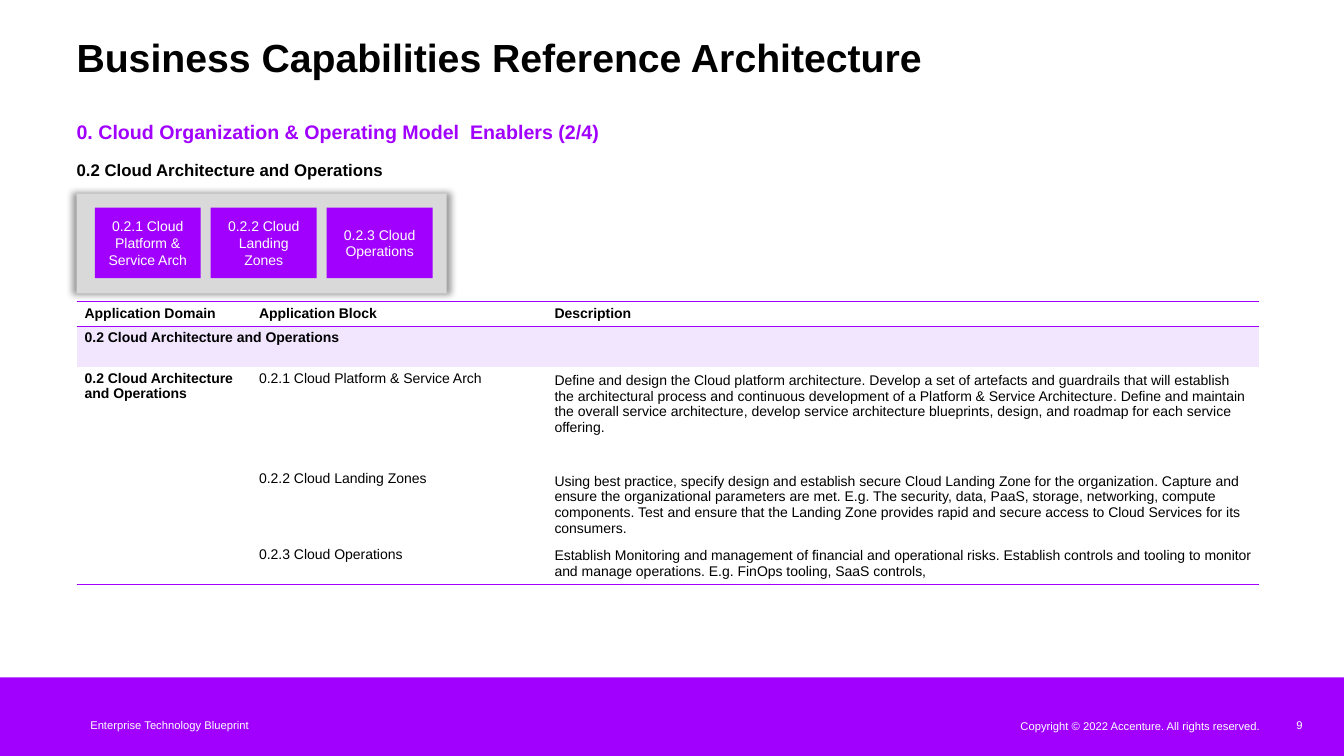
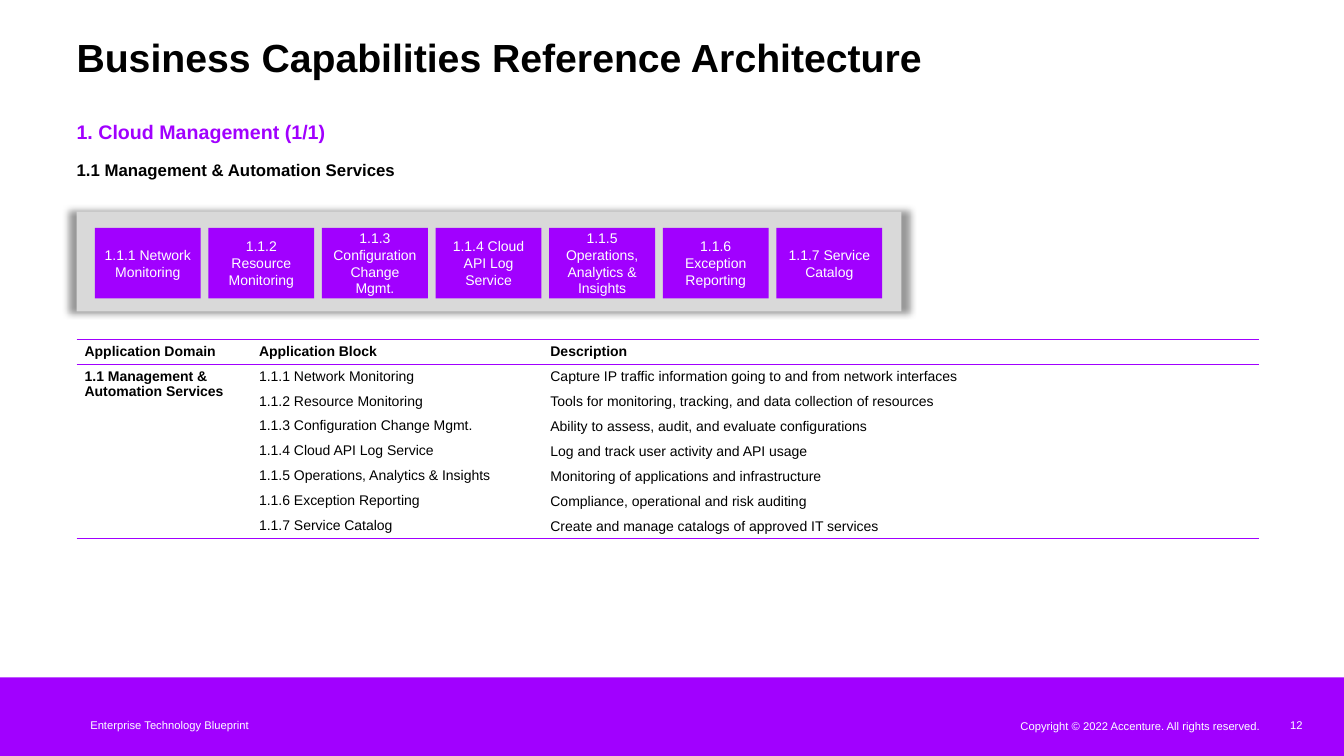
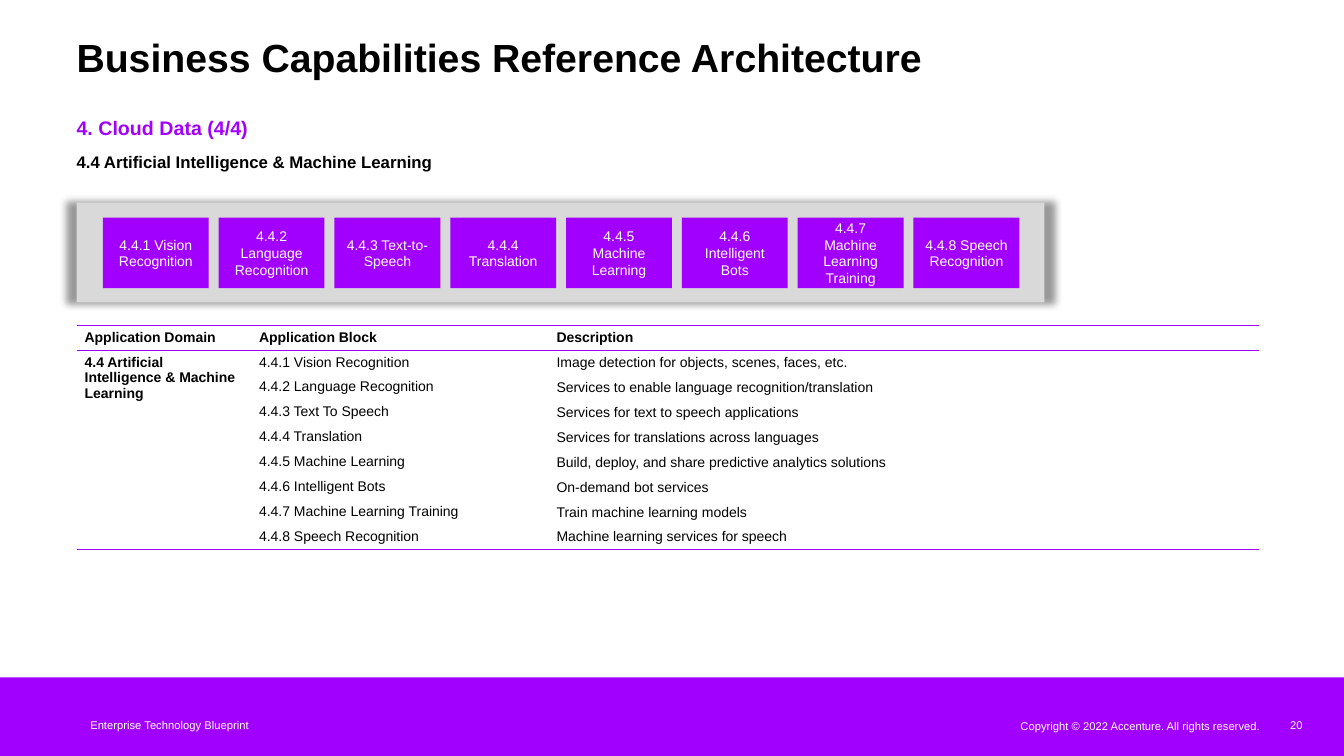
"""Build three capability reference slides with block strips and tables."""
from lxml import etree
from pptx import Presentation
from pptx.dml.color import RGBColor
from pptx.enum.shapes import MSO_SHAPE
from pptx.enum.text import MSO_ANCHOR, PP_ALIGN
from pptx.oxml import parse_xml
from pptx.oxml.ns import qn
from pptx.util import Inches, Pt

PURPLE, LILAC, GREY, WHITE, BLACK = "A100FF", "F2E6FF", "D9D9D9", "FFFFFF", "000000"
LEFT = 0.76
NS = 'xmlns:a="http://schemas.openxmlformats.org/drawingml/2006/main"'
NO_STYLE = "{2D5ABB26-0587-4C30-8999-92F81FD0307C}"
SHADOW = (f'<a:effectLst {NS}><a:outerShdw blurRad="63500" sx="102000" sy="102000" algn="ctr" '
          f'rotWithShape="0"><a:srgbClr val="{BLACK}"><a:alpha val="40000"/></a:srgbClr>'
          '</a:outerShdw></a:effectLst>')
HEADERS = ["Application Domain", "Application Block", "Description"]

SLIDES = [
    dict(
        number="9", heading="0. Cloud Organization & Operating Model  Enablers (2/4)",
        heading_top=1.19, domain="0.2 Cloud Architecture and Operations", domain_top=1.58,
        strip=(1.92, 3.67), block_top=2.06, first=0.94, last=3.24,
        table_top=2.99, cols=[1.73, 2.93, 7.07], band=True,
        heights=[0.23, 0.4, 0.7, 0.25, 0.7, 0.39], labels={},
        rows=[
            ("0.2.1 Cloud Platform & Service Arch",
             "Define and design the Cloud platform architecture. Develop a set of artefacts and "
             "guardrails that will establish the architectural process and continuous development "
             "of a Platform & Service Architecture. Define and maintain the overall service "
             "architecture, develop service architecture blueprints, design, and roadmap for each "
             "service offering."),
            ("", ""),
            ("0.2.2 Cloud Landing Zones",
             "Using best practice, specify design and establish secure Cloud Landing Zone for the "
             "organization. Capture and ensure the organizational parameters are met. E.g. The "
             "security, data, PaaS, storage, networking, compute components. Test and ensure that "
             "the Landing Zone provides rapid and secure access to Cloud Services for its "
             "consumers."),
            ("0.2.3 Cloud Operations",
             "Establish Monitoring and management of financial and operational risks. Establish "
             "controls and tooling to monitor and manage operations. E.g. FinOps tooling, SaaS "
             "controls,"),
        ]),
    dict(
        number="12", heading="1. Cloud Management (1/1)",
        heading_top=1.19, domain="1.1 Management & Automation Services", domain_top=1.58,
        strip=(2.1, 8.18), block_top=2.26, first=0.94, last=7.7,
        table_top=3.37, cols=[1.73, 2.89, 7.11], band=False,
        heights=[0.23] * 8, labels={},
        rows=[
            ("1.1.1 Network Monitoring",
             "Capture IP traffic information going to and from network interfaces"),
            ("1.1.2 Resource Monitoring",
             "Tools for monitoring, tracking, and data collection of resources"),
            ("1.1.3 Configuration Change Mgmt.",
             "Ability to assess, audit, and evaluate configurations"),
            ("1.1.4 Cloud API Log Service", "Log and track user activity and API usage"),
            ("1.1.5 Operations, Analytics & Insights",
             "Monitoring of applications and infrastructure"),
            ("1.1.6 Exception Reporting", "Compliance, operational and risk auditing"),
            ("1.1.7 Service Catalog", "Create and manage catalogs of approved IT services"),
        ]),
    dict(
        number="20", heading="4. Cloud Data (4/4)",
        heading_top=1.15, domain="4.4 Artificial Intelligence & Machine Learning", domain_top=1.51,
        strip=(2.01, 9.6), block_top=2.16, first=1.02, last=9.06,
        table_top=3.23, cols=[1.73, 2.95, 7.05], band=False,
        heights=[0.23] * 9,
        labels={"4.4.3 Text To Speech": "4.4.3 Text-to-Speech",
                "4.4.7 Machine Learning Training": "4.4.7 Machine Learning\nTraining"},
        rows=[
            ("4.4.1 Vision Recognition", "Image detection for objects, scenes, faces, etc."),
            ("4.4.2 Language Recognition", "Services to enable language recognition/translation"),
            ("4.4.3 Text To Speech", "Services for text to speech applications"),
            ("4.4.4 Translation", "Services for translations across languages"),
            ("4.4.5 Machine Learning", "Build, deploy, and share predictive analytics solutions"),
            ("4.4.6 Intelligent Bots", "On-demand bot services"),
            ("4.4.7 Machine Learning Training", "Train machine learning models"),
            ("4.4.8 Speech Recognition", "Machine learning services for speech"),
        ]),
]


def write(tf, text, size, color, bold=False, align=PP_ALIGN.LEFT):
    tf.word_wrap = True
    tf.text = text
    for p in tf.paragraphs:
        p.alignment = align
        p.font.name, p.font.size, p.font.bold = "Arial", Pt(size), bold
        p.font.color.rgb = RGBColor.from_string(color)
        if not text:
            p._p.get_or_add_endParaRPr().set("sz", str(size * 100))


def add_box(s, left, top, width, height, fill=None):
    at = [Inches(v) for v in (left, top, width, height)]
    if fill is None:
        sp = s.shapes.add_textbox(*at)
        tf = sp.text_frame
        tf.margin_left = tf.margin_top = tf.margin_right = tf.margin_bottom = 0
        return sp
    sp = s.shapes.add_shape(MSO_SHAPE.RECTANGLE, *at)
    sp.shadow.inherit = False
    sp.fill.solid()
    sp.fill.fore_color.rgb = RGBColor.from_string(fill)
    sp.line.fill.background()
    return sp


prs = Presentation()
prs.slide_width, prs.slide_height = Inches(13.33), Inches(7.5)

for page in SLIDES:
    s = prs.slides.add_slide(prs.slide_layouts[6])

    add_box(s, 0, 6.72, 13.33, 0.78, PURPLE)
    for text, *at in [("Copyright © 2022 Accenture. All rights reserved.", 9.1, 7.09, 3.4, 0.22),
                      (page["number"], 12.5, 7.08, 0.42, 0.23),
                      ("Enterprise Technology Blueprint", 0.74, 7.13, 1.73, 0.13)]:
        tf = add_box(s, *at).text_frame
        tf.vertical_anchor = MSO_ANCHOR.MIDDLE
        write(tf, text, 8, WHITE, align=PP_ALIGN.RIGHT)

    tf = add_box(s, LEFT, 0.42, 12.16, 0.38).text_frame
    write(tf, "Business Capabilities Reference Architecture", 28, BLACK, bold=True)
    tf.paragraphs[0].line_spacing = 0.8
    tf = add_box(s, LEFT, page["heading_top"], 12.16, 0.24).text_frame
    write(tf, page["heading"], 14, PURPLE, bold=True)
    tf = add_box(s, LEFT, page["domain_top"], 4.22, 0.28).text_frame
    write(tf, page["domain"], 12, BLACK, bold=True)

    strip_top, strip_width = page["strip"]
    sp = add_box(s, LEFT, strip_top, strip_width, 0.99, GREY)
    spPr = sp._element.spPr
    spPr.replace(spPr.find(qn("a:effectLst")), parse_xml(SHADOW))

    blocks = [block for block, _ in page["rows"] if block]
    pitch = (page["last"] - page["first"]) / (len(blocks) - 1)
    for i, block in enumerate(blocks):
        sp = add_box(s, page["first"] + i * pitch, page["block_top"], 1.05, 0.7, PURPLE)
        sp.text_frame.vertical_anchor = MSO_ANCHOR.MIDDLE
        write(sp.text_frame, page["labels"].get(block, block), 10, WHITE, align=PP_ALIGN.CENTER)

    body = 2 if page["band"] else 1
    grid = [HEADERS] + [[page["domain"], "", ""]] * (body - 1)
    grid += [["" if i else page["domain"], *row] for i, row in enumerate(page["rows"])]
    last = len(grid) - 1
    table = s.shapes.add_table(len(grid), 3, Inches(LEFT), Inches(page["table_top"]),
                               Inches(sum(page["cols"])), Inches(sum(page["heights"]))).table
    table.first_row = table.horz_banding = False
    table._tbl.tblPr.find(qn("a:tableStyleId")).text = NO_STYLE
    for column, width in zip(table.columns, page["cols"]):
        column.width = Inches(width)
    for row, height in zip(table.rows, page["heights"]):
        row.height = Inches(height)

    for r, texts in enumerate(grid):
        for c, text in enumerate(texts):
            cell = table.cell(r, c)
            cell.margin_left = cell.margin_right = Inches(0.08)
            cell.margin_top = cell.margin_bottom = Inches(0.04)
            if r >= body and c == 2:
                cell.vertical_anchor = MSO_ANCHOR.MIDDLE
            write(cell.text_frame, text, 10, BLACK, bold=r < body or c == 0)
            if 0 < r < body:
                cell.fill.solid()
                cell.fill.fore_color.rgb = RGBColor.from_string(LILAC)
            else:
                cell.fill.background()
            sides = ["lnT", "lnB"] if r == 0 else []
            if r == last or (r == body and c == 0):
                sides = ["lnB"]
            tcPr = cell._tc.get_or_add_tcPr()
            for i, side in enumerate(sides):
                ln = etree.fromstring(f'<a:{side} {NS} w="12700"><a:solidFill>'
                                      f'<a:srgbClr val="{PURPLE}"/></a:solidFill></a:{side}>')
                tcPr.insert(i, ln)
    if page["band"]:
        table.cell(1, 0).merge(table.cell(1, 1))
    table.cell(body, 0).merge(table.cell(last, 0))

prs.save("out.pptx")
